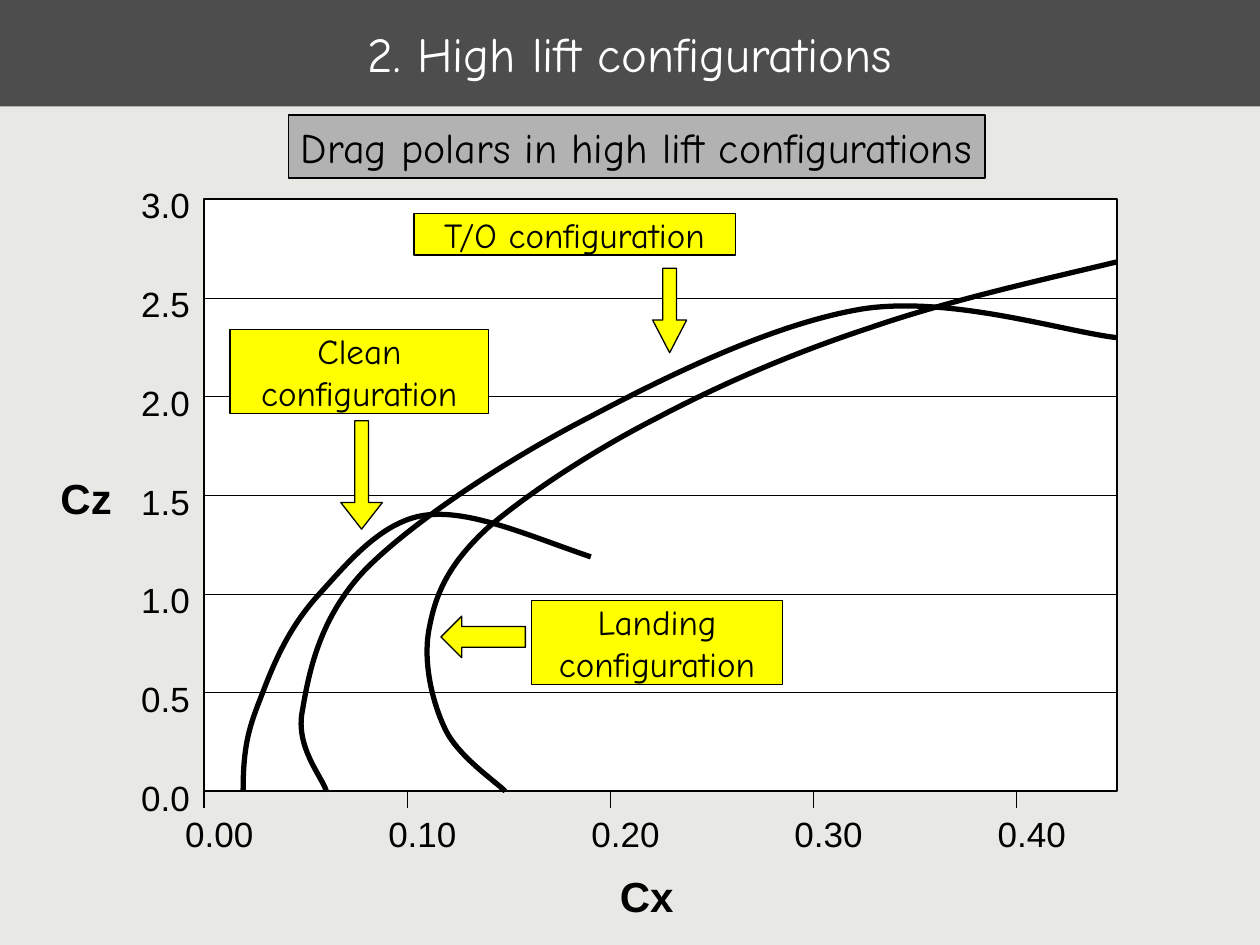
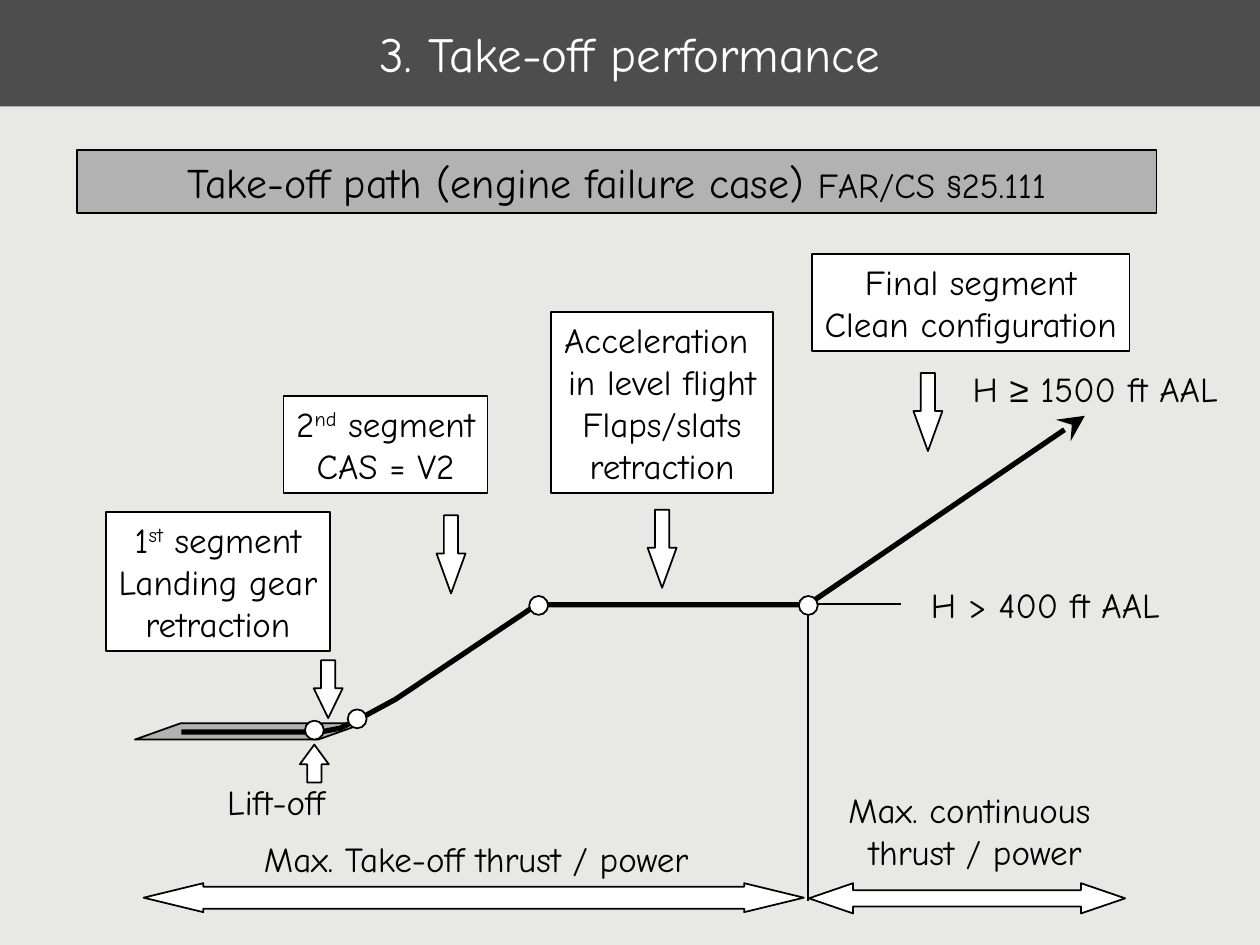
from lxml.etree import SubElement
from pptx import Presentation
from pptx.dml.color import RGBColor
from pptx.enum.shapes import MSO_CONNECTOR, MSO_SHAPE
from pptx.enum.text import MSO_ANCHOR, MSO_AUTO_SIZE, PP_ALIGN
from pptx.oxml.ns import qn
from pptx.util import Inches, Pt

# The slide is a grid of 100 columns by 75 rows; all lengths count cells
COLUMNS, ROWS = 100, 75
CELL = Inches(0.1)

BACKGROUND, BAND, BANNER = "E8E8E4", "4D4D4D", "B2B2B2"
BLACK, WHITE, YELLOW = "000000", "FFFFFF", "FFFF00"
HAND, PLAIN = "Comic Neue", "Arial"

# Plot area and the distance between its axis steps
PLOT_LEFT, PLOT_TOP, PLOT_WIDTH, PLOT_HEIGHT = 16.2, 15.8, 72.45, 47
PLOT_BOTTOM = PLOT_TOP + PLOT_HEIGHT
CZ_STEP, CX_STEP = PLOT_HEIGHT / 6, 16.12

# Polars: a start point, then Bezier triples (two handles and an end)
CLEAN_POLAR = [
    (19.3, 62.7), (19.3, 58.6), (20, 57.2), (21, 54.6), (22, 52), (23.2, 49.5),
    (25.3, 47.2), (27.4, 44.9), (30.2, 41.4), (33.7, 40.9), (37.3, 40.4),
    (41.9, 42.5), (46.9, 44.2)]
TAKE_OFF_POLAR = [
    (25.9, 62.8), (25.6, 61.7), (23.4, 59.3), (24, 56.4), (24.5, 53.5),
    (25.3, 49), (29.1, 45.1), (32.9, 41.3), (40.2, 36.5), (46.8, 33.1),
    (53.4, 29.6), (61.7, 25.6), (68.6, 24.5), (75.6, 23.5), (84.4, 26.3),
    (88.6, 26.8)]
LANDING_POLAR = [
    (40.1, 62.8), (39.3, 62), (36.3, 60), (35.3, 57.8), (34.3, 55.7),
    (33.5, 52.4), (34.1, 49.7), (34.6, 47.1), (35.6, 44.8), (38.6, 42),
    (41.7, 39.3), (47, 35.8), (52.1, 33.2), (57.2, 30.5), (63, 28),
    (69.1, 26), (75.2, 23.9), (81.9, 22.4), (88.6, 20.8)]

FLIGHT_PATH = [(14.4, 58.1), (25.4, 58.1), (27, 57.8), (29, 56.8), (31.4, 55.5),
               (42.6, 48), (64.1, 48), (86.1, 33)]


def cells(*counts):
    return [round(count * CELL) for count in counts]


def color(value):
    return RGBColor.from_string(value)


def outline(shape, width):
    shape.line.color.rgb = color(BLACK)
    shape.line.width = Pt(width)


def write(box, lines, size=20, font=HAND, ink=BLACK, bold=False, align=PP_ALIGN.CENTER,
          wrap=False, inset=True, grow=True):
    """Fill a box; a line is a string or a list of (text, changes) spans."""
    frame = box.text_frame
    frame.word_wrap = wrap
    frame.auto_size = MSO_AUTO_SIZE.SHAPE_TO_FIT_TEXT if grow else MSO_AUTO_SIZE.NONE
    frame.vertical_anchor = MSO_ANCHOR.TOP if grow else MSO_ANCHOR.MIDDLE
    frame.margin_left = frame.margin_right = Inches(0.1 if inset else 0)
    frame.margin_top = frame.margin_bottom = Inches(0.05 if inset else 0)
    for index, line in enumerate(lines):
        para = frame.add_paragraph() if index else frame.paragraphs[0]
        para.alignment = align
        for text, changes in [(line, {})] if isinstance(line, str) else line:
            span = para.add_run()
            span.text = text
            span.font.name = changes.get("font", font)
            span.font.size = Pt(changes.get("size", size))
            span.font.bold = bold
            span.font.color.rgb = color(ink)
            if "raised" in changes:
                span._r.get_or_add_rPr().set("baseline", "30000")


def add_block(page, kind, at, fill, line=1, adjust=()):
    shape = page.shapes.add_shape(kind, *cells(*at))
    shape.shadow.inherit = False
    shape.fill.solid()
    shape.fill.fore_color.rgb = color(fill)
    if line:
        outline(shape, line)
    else:
        shape.line.fill.background()
    for index, value in enumerate(adjust):
        shape.adjustments[index] = value
    return shape


def add_label(page, at, lines, **style):
    write(page.shapes.add_textbox(*cells(*at)), lines, **style)


def add_rule(page, start, end, width):
    rule = page.shapes.add_connector(MSO_CONNECTOR.STRAIGHT, *cells(*start, *end))
    outline(rule, width)
    SubElement(rule._element.spPr, qn("a:effectLst"))


def add_trace(page, points):
    first, *others = [cells(*point) for point in points]
    builder = page.shapes.build_freeform(*first)
    builder.add_line_segments(others, close=False)
    trace = builder.convert_to_shape()
    trace.shadow.inherit = False
    trace.fill.background()
    outline(trace, 3)
    return trace


def add_curve(page, nodes):
    """Turn each three line steps of a trace into one Bezier step."""
    trace = add_trace(page, nodes)
    outline_steps = next(trace._element.iter(qn("a:path")))
    steps = outline_steps.findall(qn("a:lnTo"))
    for index in range(0, len(steps), 3):
        bend = SubElement(outline_steps, qn("a:cubicBezTo"))
        for step in steps[index:index + 3]:
            bend.append(step[0])
            outline_steps.remove(step)


def add_page(deck, title):
    page = deck.slides.add_slide(deck.slide_layouts[6])
    page.background.fill.solid()
    page.background.fill.fore_color.rgb = color(BACKGROUND)
    band = add_block(page, MSO_SHAPE.RECTANGLE, (0, 0, COLUMNS, 8.45), BAND, line=0)
    write(band, [title], size=28, ink=WHITE, wrap=True, grow=False)
    return page


def add_banner(page, at, line, **style):
    write(add_block(page, MSO_SHAPE.RECTANGLE, at, BANNER), [line], size=24, **style)


def add_axes(page):
    add_block(page, MSO_SHAPE.RECTANGLE, (PLOT_LEFT, PLOT_TOP, PLOT_WIDTH, PLOT_HEIGHT), WHITE)
    style = dict(font=PLAIN, align=PP_ALIGN.LEFT, inset=False)
    for step in range(7):
        y = PLOT_BOTTOM - step * CZ_STEP
        if 0 < step < 6:
            add_rule(page, (PLOT_LEFT, y), (PLOT_LEFT + PLOT_WIDTH, y), 0.11)
        add_label(page, (11.2, y - 1.2, 4, 3.3), [f"{step / 2:.1f}"], **style)
    for step in range(5):
        x = PLOT_LEFT + step * CX_STEP
        add_rule(page, (x, PLOT_BOTTOM), (x, PLOT_BOTTOM + 1.3), 0.75)
        add_label(page, (x - 1.5, 64.5, 5.6, 3.3), [f"{step / 10:.2f}"], **style)
    for name, at in (("Cz", (4.8, 37.5, 4.2, 4)), ("Cx", (49.2, 69.1, 4.4, 4))):
        add_label(page, at, [name], size=24, bold=True, **style)


def add_polar_tag(page, at, lines, kind, arrow_at, adjust):
    tag = add_block(page, MSO_SHAPE.RECTANGLE, at, YELLOW, line=0.75)
    write(tag, lines, wrap=True, inset=False)
    add_block(page, kind, arrow_at, YELLOW, line=0.75, adjust=adjust)


def add_segment(page, at, lines, arrow_left, arrow_top, arrow_height=6.2, head=1.38):
    write(add_block(page, MSO_SHAPE.RECTANGLE, at, WHITE), lines)
    add_block(page, MSO_SHAPE.DOWN_ARROW, (arrow_left, arrow_top, 2.3, arrow_height),
              WHITE, adjust=(0.49, head))


def build_polars(deck):
    page = add_page(deck, "2. High lift configurations")
    add_axes(page)

    # Polars with their tags
    add_polar_tag(page, (42.2, 47.65, 19.9, 6.7), ["Landing", "configuration"],
                  MSO_SHAPE.LEFT_ARROW, (35, 48.9, 6.7, 3.3), (0.5, 0.5))
    add_polar_tag(page, (18.25, 26.15, 20.55, 6.7), ["Clean", "configuration"],
                  MSO_SHAPE.DOWN_ARROW, (27.05, 33.4, 3.3, 8.6), (0.33, 0.64))
    add_curve(page, CLEAN_POLAR)
    add_curve(page, TAKE_OFF_POLAR)
    add_polar_tag(page, (32.85, 16.95, 25.5, 3.3), ["T/O configuration"],
                  MSO_SHAPE.DOWN_ARROW, (51.8, 21.3, 2.7, 6.7), (0.4, 0.96))
    add_curve(page, LANDING_POLAR)

    add_banner(page, (22.9, 9.15, 55.3, 5), "Drag polars in high lift configurations",
               align=PP_ALIGN.LEFT)


def build_take_off(deck):
    page = add_page(deck, "3. Take-off performance")
    add_banner(page, (6.1, 11.9, 85.7, 5),
               [("Take-off path (engine failure case) ", {}), ("FAR/CS §25.111", {"size": 20})],
               wrap=True)

    # Segments of the climb
    raised = {"raised": True}
    add_segment(page, (8.4, 40.65, 17.8, 11),
                [[("1", {}), ("st", raised), (" segment", {})], "Landing gear", "retraction"],
                24.9, 52.4, 4.6, 1.03)
    add_segment(page, (22.5, 31.45, 16.2, 7.7),
                [[("2", {}), ("nd", raised), (" segment", {})], "CAS = V2"], 34.65, 40.9)
    add_segment(page, (43.75, 24.75, 17.6, 14.4),
                ["Acceleration ", "in level flight", "Flaps/slats", "retraction"], 51.4, 40.45)
    add_segment(page, (64.45, 20.15, 25.2, 7.7), ["Final segment", "Clean configuration"],
                72.5, 29.6)

    # Heights
    add_label(page, (76.2, 28.7, 23.2, 4.3),
              [[("H ", {}), ("≥", {"font": PLAIN}), (" 1500 ft AAL", {})]],
              align=PP_ALIGN.LEFT)
    add_label(page, (72.9, 45.8, 20.4, 4.4), ["H > 400 ft AAL"], align=PP_ALIGN.LEFT)
    add_rule(page, (61.8, 47.95), (71.5, 47.95), 1)

    # Thrust ranges
    add_rule(page, (64.1, 47.7), (64.1, 71.5), 1)
    for at, adjust in (((11.4, 70.1, 52.4, 2.3), (0.76, 2.06)),
                       ((64.2, 70.1, 25.1, 2.4), (0.54, 1.46))):
        add_block(page, MSO_SHAPE.LEFT_RIGHT_ARROW, at, WHITE, adjust=adjust)
    add_label(page, (19.7, 66, 36.2, 4.3), ["Max. Take-off thrust / power"])
    add_label(page, (66.3, 62.1, 21.3, 7.6), ["Max. continuous", " thrust / power"])

    # Lift-off, runway and flight path
    add_label(page, (17.05, 61.45, 9.8, 4.4), ["Lift-off"], align=PP_ALIGN.LEFT)
    add_block(page, MSO_SHAPE.UP_ARROW, (23.8, 59.1, 2.3, 3), WHITE, adjust=(0.49, 0.68))
    add_block(page, MSO_SHAPE.PARALLELOGRAM, (10.7, 57.4, 18.2, 1.3), BANNER, adjust=(2.81,))
    climb = add_trace(page, FLIGHT_PATH)
    SubElement(climb.line._get_or_add_ln(), qn("a:tailEnd"), type="stealth", w="lg", len="lg")
    for left, top in ((27.6, 56.3), (24.2, 57.2), (42, 47.3), (63.4, 47.3)):
        add_block(page, MSO_SHAPE.OVAL, (left, top, 1.5, 1.5), WHITE)


def main():
    deck = Presentation()
    deck.slide_width, deck.slide_height = cells(COLUMNS, ROWS)
    build_polars(deck)
    build_take_off(deck)
    deck.save("out.pptx")


if __name__ == "__main__":
    main()
